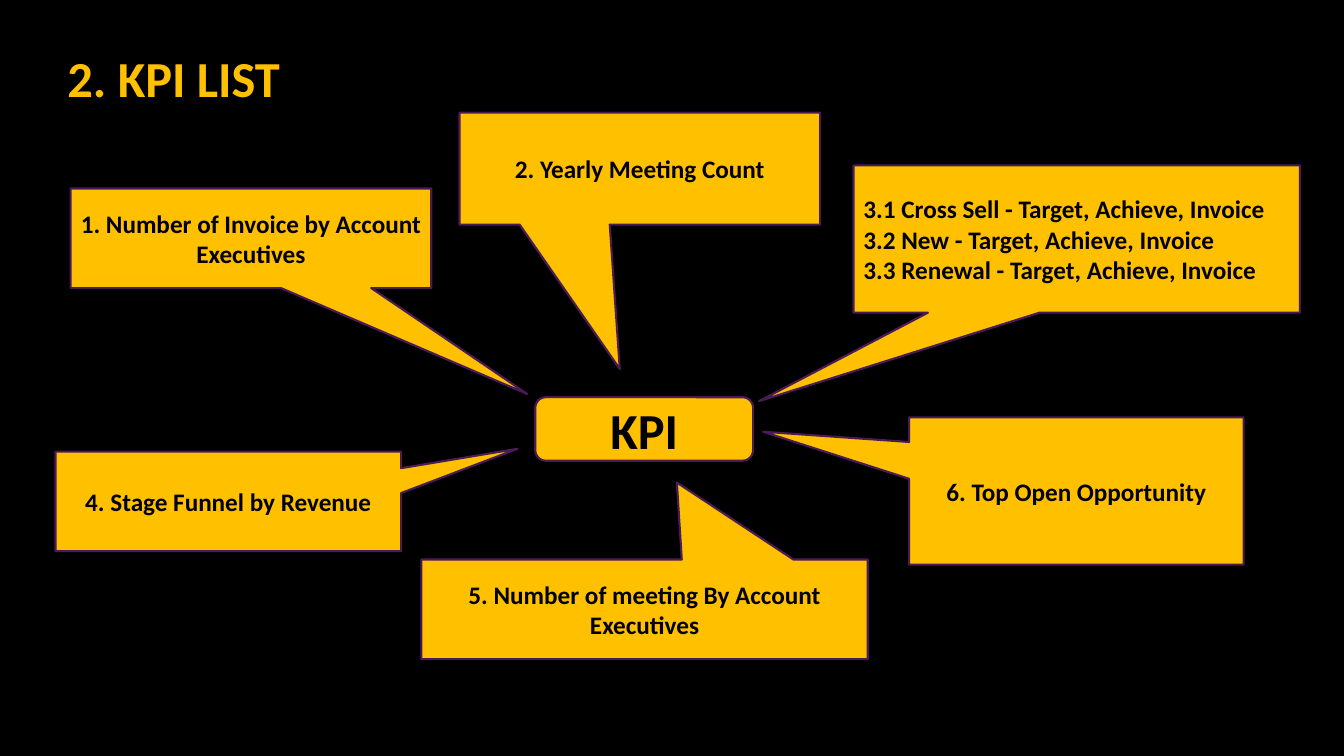
from dataclasses import dataclass

from pptx import Presentation
from pptx.dml.color import RGBColor
from pptx.enum.shapes import MSO_SHAPE
from pptx.enum.text import MSO_ANCHOR, MSO_AUTO_SIZE, PP_ALIGN
from pptx.shapes.autoshape import Shape
from pptx.slide import Slide
from pptx.util import Cm, Pt


@dataclass(frozen=True)
class Theme:
    font: str = "Calibri"
    back: RGBColor = RGBColor(0, 0, 0)
    ink: RGBColor = RGBColor(0, 0, 0)
    gold: RGBColor = RGBColor(0xFF, 0xC0, 0x00)
    edge: RGBColor = RGBColor(0x4B, 0x1B, 0x55)
    head: Pt = Pt(36)
    body: Pt = Pt(18)
    line: Pt = Pt(1.5)


@dataclass(frozen=True)
class Box:
    left: float
    top: float
    width: float
    height: float

    def place(self) -> tuple[Cm, Cm, Cm, Cm]:
        return Cm(self.left), Cm(self.top), Cm(self.width), Cm(self.height)


@dataclass(frozen=True)
class Callout:
    text: str
    box: Box
    tip: tuple[float, float]
    align: PP_ALIGN = PP_ALIGN.CENTER


THEME = Theme()
TITLE = Box(1.45, 1.07, 16.94, 1.8)
CORE = Box(13.49, 10.01, 5.49, 1.6)
TARGETS = "\n".join((
    "3.1 Cross Sell - Target, Achieve, Invoice",
    "3.2 New - Target, Achieve, Invoice",
    "3.3 Renewal - Target, Achieve, Invoice",
))
CALLOUTS = (
    Callout("1. Number of Invoice by Account Executives",
            Box(1.78, 4.75, 9.09, 2.51), (13.29, 9.93)),
    Callout("2. Yearly Meeting Count",
            Box(11.58, 2.84, 9.09, 2.82), (15.62, 9.3)),
    Callout(TARGETS, Box(21.51, 4.17, 11.25, 3.71), (19.13, 10.11), PP_ALIGN.LEFT),
    Callout("6. Top Open Opportunity",
            Box(22.91, 10.52, 8.43, 3.71), (19.23, 10.88)),
    Callout("5. Number of meeting By Account Executives",
            Box(10.62, 14.1, 11.25, 2.51), (17.06, 12.16)),
    Callout("4. Stage Funnel by Revenue",
            Box(1.4, 11.38, 8.71, 2.51), (13.04, 11.31)),
)


def write(shape: Shape, text: str, size: Pt, color: RGBColor, align: PP_ALIGN) -> None:
    frame = shape.text_frame
    frame.text = text
    frame.word_wrap = True
    for para in frame.paragraphs:
        para.alignment = align
        for run in para.runs:
            run.font.name = THEME.font
            run.font.size = size
            run.font.bold = True
            run.font.color.rgb = color


def add_panel(slide: Slide, kind: MSO_SHAPE, box: Box, text: str,
              size: Pt, align: PP_ALIGN) -> Shape:
    panel = slide.shapes.add_shape(kind, *box.place())
    panel.shadow.inherit = False
    panel.fill.solid()
    panel.fill.fore_color.rgb = THEME.gold
    panel.line.color.rgb = THEME.edge
    panel.line.width = THEME.line
    write(panel, text, size, THEME.ink, align)
    panel.text_frame.vertical_anchor = MSO_ANCHOR.MIDDLE
    return panel


def add_callout(slide: Slide, item: Callout) -> None:
    box = item.box
    panel = add_panel(slide, MSO_SHAPE.RECTANGULAR_CALLOUT, box, item.text,
                      THEME.body, item.align)
    panel.adjustments[0] = (item.tip[0] - box.left) / box.width - 0.5
    panel.adjustments[1] = (item.tip[1] - box.top) / box.height - 0.5


def add_title(slide: Slide) -> None:
    title = slide.shapes.add_textbox(*TITLE.place())
    write(title, "2. KPI LIST", THEME.head, THEME.gold, PP_ALIGN.LEFT)
    title.text_frame.auto_size = MSO_AUTO_SIZE.SHAPE_TO_FIT_TEXT


def main() -> None:
    deck = Presentation()
    deck.slide_width, deck.slide_height = Cm(33.87), Cm(19.05)
    slide = deck.slides.add_slide(deck.slide_layouts[6])
    slide.background.fill.solid()
    slide.background.fill.fore_color.rgb = THEME.back
    add_panel(slide, MSO_SHAPE.FLOWCHART_ALTERNATE_PROCESS, CORE, "KPI",
              THEME.head, PP_ALIGN.CENTER)
    add_title(slide)
    for item in CALLOUTS:
        add_callout(slide, item)
    deck.save("out.pptx")


if __name__ == "__main__":
    main()
